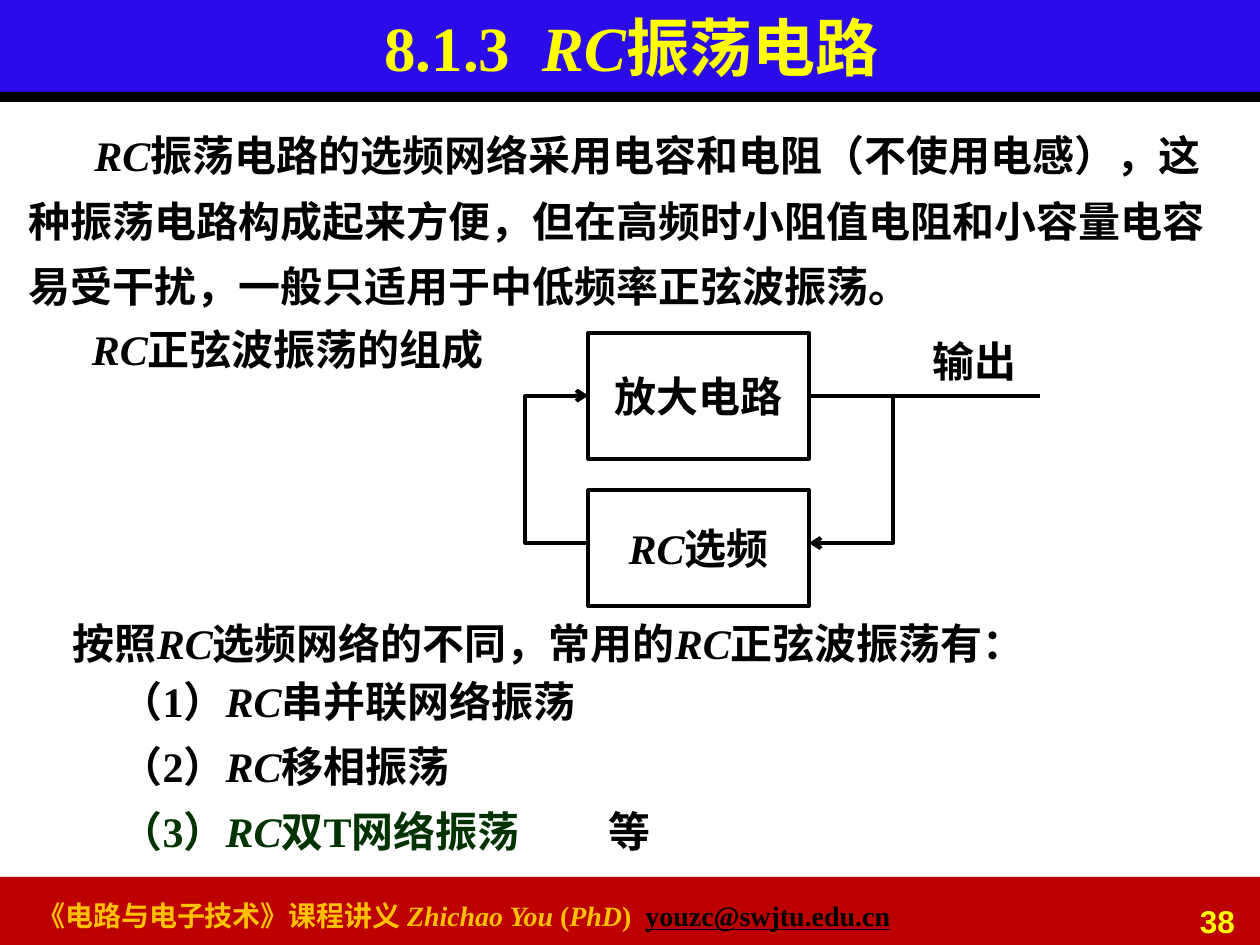
import pptx
import pptx.dml.color
import pptx.enum.shapes
import pptx.enum.text
import pptx.oxml
import pptx.oxml.ns
import pptx.util
from pptx.util import Inches, Pt

RGBColor = pptx.dml.color.RGBColor
ALIGN = pptx.enum.text.PP_ALIGN
ANCHOR = pptx.enum.text.MSO_ANCHOR
SHAPE = pptx.enum.shapes.MSO_SHAPE

BLACK = RGBColor(0, 0, 0)
YELLOW = RGBColor(0xFF, 0xFF, 0)
GOLD = RGBColor(0xFF, 0xC0, 0)
RED = RGBColor(0xBC, 0, 0)
BLUE = RGBColor(0x2B, 0x0C, 0xE8)
GREEN = RGBColor(0, 0x33, 0)
NAMESPACE = pptx.oxml.ns.nsdecls("a")

presentation = pptx.Presentation()
presentation.slide_width = Inches(10)
presentation.slide_height = Inches(7.5)
slide = presentation.slides.add_slide(presentation.slide_layouts[6])
shapes = slide.shapes


def write(shape, text, size=24, color=BLACK, align=ALIGN.LEFT, font="Times New Roman"):
    """Fill the first paragraph; parts between asterisks are italic."""
    paragraph = shape.text_frame.paragraphs[0]
    paragraph.alignment = align
    for index, part in enumerate(text.split("*")):
        if part:
            run = paragraph.add_run()
            run.text = part
            run.font.name = font
            run.font.size = Pt(size)
            run.font.bold = True
            run.font.italic = index % 2 == 1
            run.font.color.rgb = color
    return paragraph


def add_text(left, top, width, height, text, **style):
    box = shapes.add_textbox(Inches(left), Inches(top), Inches(width), Inches(height))
    box.text_frame.word_wrap = True
    return box, write(box, text, **style)


# Footer and title bands
for left, top, width, height, color in (
    (-0.02, 6.96, 10.04, 0.56, RED),
    (-0.02, 0, 10.04, 0.76, BLUE),
    (-0.01, 0.73, 10.02, 0.08, BLACK),
):
    band = shapes.add_shape(
        SHAPE.RECTANGLE, Inches(left), Inches(top), Inches(width), Inches(height))
    band.shadow.inherit = False
    band.fill.solid()
    band.fill.fore_color.rgb = color
    band.line.fill.background()

footer, footer_paragraph = add_text(
    0.2, 7.08, 8.82, 0.37, "《电路与电子技术》课程讲义 *Zhichao You *(*PhD*)  ", size=16, color=GOLD)
email = write(footer, "youzc@swjtu.edu.cn", size=16).runs[-1]
email.font.underline = True

title, title_paragraph = add_text(
    0, 0, 10.02, 0.73, "8.1.3  *RC*振荡电路", size=36, color=YELLOW, align=ALIGN.CENTER)
title.text_frame.vertical_anchor = ANCHOR.MIDDLE
add_text(8.96, 7.11, 0.94, 0.31, "38", size=18, color=YELLOW, align=ALIGN.RIGHT, font="Arial")

# Introduction
introduction, introduction_paragraph = add_text(
    0.13, 0.86, 9.72, 1.68,
    "*RC*振荡电路的选频网络采用电容和电阻（不使用电感），这种振荡电路构成起来方便，"
    "但在高频时小阻值电阻和小容量电容易受干扰，一般只适用于中低频率正弦波振荡。")
introduction_paragraph.line_spacing = 1.3
introduction_paragraph._p.get_or_add_pPr().set("indent", str(Inches(0.52)))

# Block diagram
for top, height, label in ((2.64, 1, "放大电路"), (3.89, 0.92, "*RC*选频")):
    block = shapes.add_shape(
        SHAPE.RECTANGLE, Inches(4.67), Inches(top), Inches(1.75), Inches(height))
    block.shadow.inherit = False
    block.fill.background()
    block.line.color.rgb = BLACK
    block.line.width = Pt(2.25)
    frame = block.text_frame
    frame.margin_left = frame.margin_right = frame.margin_top = frame.margin_bottom = 0
    frame.word_wrap = False
    frame.vertical_anchor = ANCHOR.MIDDLE
    write(block, label, align=ALIGN.CENTER)

output_line = shapes.add_connector(
    pptx.enum.shapes.MSO_CONNECTOR.STRAIGHT,
    Inches(6.42), Inches(3.14), Inches(8.25), Inches(3.14))
output_line.line.color.rgb = BLACK
output_line.line.width = Pt(2.25)
output_line._element.spPr.append(pptx.oxml.parse_xml(f"<a:effectLst {NAMESPACE}/>"))

for points in (
    ((7.09, 3.14), (7.09, 4.31), (6.42, 4.31)),
    ((4.67, 4.31), (4.17, 4.31), (4.17, 3.14), (4.67, 3.14)),
):
    corners = [(Inches(x), Inches(y)) for x, y in points]
    builder = shapes.build_freeform(*corners[0])
    builder.add_line_segments(corners[1:], close=False)
    feedback = builder.convert_to_shape()
    feedback.shadow.inherit = False
    feedback.fill.background()
    feedback.line.color.rgb = BLACK
    feedback.line.width = Pt(2.25)
    feedback.line._get_or_add_ln().append(
        pptx.oxml.parse_xml(f'<a:tailEnd {NAMESPACE} type="arrow"/>'))

output_label, output_paragraph = add_text(7.4, 2.66, 0.67, 0.4, "输出")
frame = output_label.text_frame
frame.margin_left = frame.margin_right = frame.margin_top = frame.margin_bottom = 0
frame.word_wrap = False

# Headings and list of oscillator types
add_text(0.63, 2.52, 4.51, 0.5, "*RC*正弦波振荡的组成")
add_text(0.48, 4.85, 9.15, 0.5, "按照*RC*选频网络的不同，常用的*RC*正弦波振荡有：")
for number, (name, color) in enumerate(
        (("串并联网络振荡", BLACK), ("移相振荡", BLACK), ("双T网络振荡", GREEN))):
    item, item_paragraph = add_text(
        0.86, 5.31 + 0.515 * number, 5.3, 0.5, f"（{number + 1}）*RC*{name}", color=color)

# The last item ends with a word set off by a tab
item_paragraph._p.get_or_add_pPr().append(pptx.oxml.parse_xml(
    f'<a:tabLst {NAMESPACE}><a:tab pos="{Inches(3.87)}" algn="l"/></a:tabLst>'))
write(item, "\t等")

presentation.save("out.pptx")
